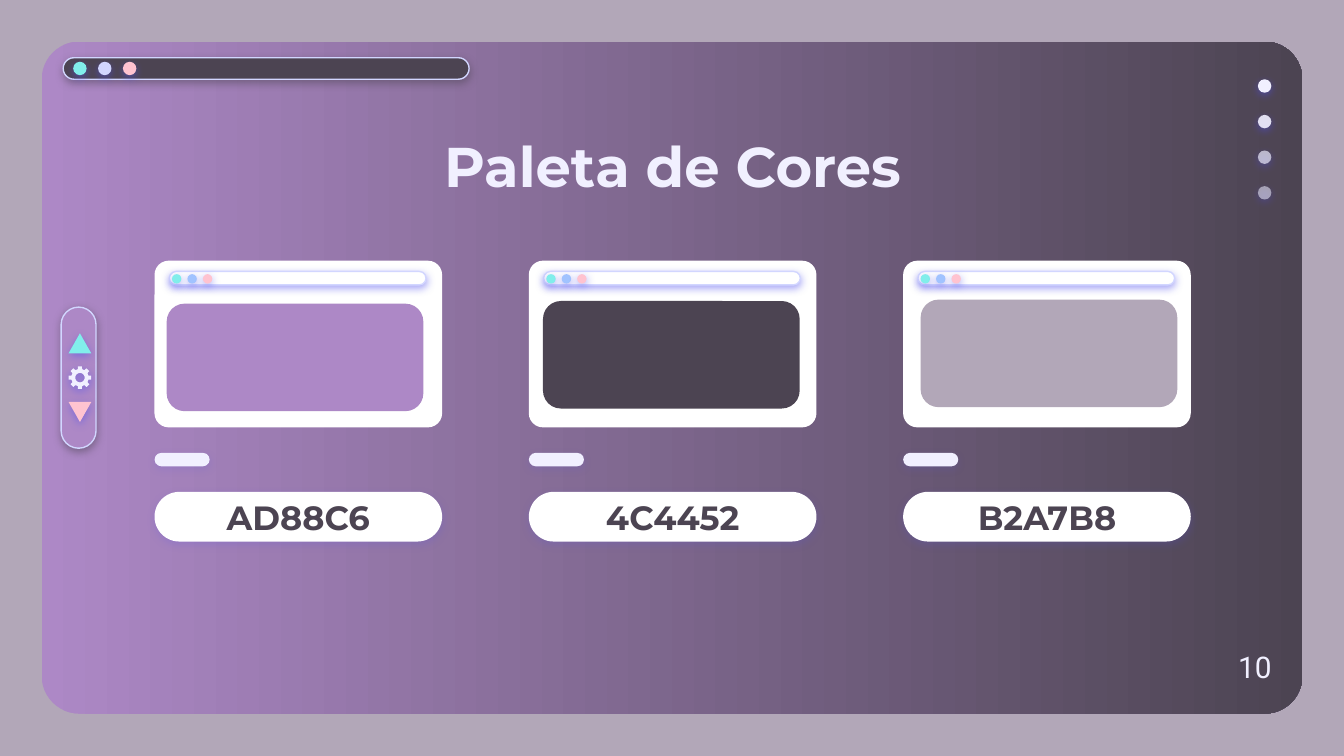
import math

import lxml.etree
import pptx
import pptx.dml.color
import pptx.enum.shapes
import pptx.enum.text
import pptx.oxml.ns
import pptx.util

PX = 4572  # EMU per px, 200 px to the inch
KIND = pptx.enum.shapes.MSO_SHAPE
ALIGN = pptx.enum.text.PP_ALIGN
ANCHOR = pptx.enum.text.MSO_ANCHOR
color = pptx.dml.color.RGBColor.from_string
qn = pptx.oxml.ns.qn

WHITE, PALE, LILAC = "FFFFFF", "F1F0FF", "D2D6FF"
PURPLE, DARK, GREY = "AD88C6", "4C4452", "B2A7B8"
TEAL, BLUE, PINK, GLOW = "81EEEB", "A1C3FF", "FFC3D0", "5352EE"

presentation = pptx.Presentation()
presentation.slide_width = 2000 * PX
presentation.slide_height = 1125 * PX
slide = presentation.slides.add_slide(presentation.slide_layouts[6])
slide.background.fill.solid()
slide.background.fill.fore_color.rgb = color(GREY)


def style(shape, fill, line=None, shadow=None, opacity=50):
    """Set fill and outline, and a soft shadow below when a colour is given."""
    shape.fill.solid()
    shape.fill.fore_color.rgb = color(fill)
    if line:
        shape.line.color.rgb = color(line)
        shape.line.width = pptx.util.Pt(0.75)
    else:
        shape.line.fill.background()
    shape.shadow.inherit = False
    if shadow:
        effects = shape._element.spPr.find(qn("a:effectLst"))
        outer = lxml.etree.SubElement(
            effects, qn("a:outerShdw"), blurRad="57150", dist="19050",
            dir="5400000", algn="bl", rotWithShape="0")
        tint = lxml.etree.SubElement(outer, qn("a:srgbClr"), val=shadow)
        lxml.etree.SubElement(tint, qn("a:alpha"), val=str(opacity * 1000))


def draw(kind, left, top, width, height, fill, rounding=None, **look):
    """Add a preset shape, placed in px."""
    shape = slide.shapes.add_shape(
        kind, left * PX, top * PX, width * PX, height * PX)
    if rounding is not None:
        shape.adjustments[0] = rounding
    style(shape, fill, **look)
    return shape


# Gradient panel
panel = draw(KIND.ROUNDED_RECTANGLE, 62, 62, 1876, 1000, PURPLE, 0.056)
panel.fill.gradient()
panel.fill.gradient_angle = 0
for stop, shade in zip(panel.fill.gradient_stops, (PURPLE, DARK)):
    stop.color.rgb = color(shade)

# Window bar at the top
draw(KIND.ROUNDED_RECTANGLE, 94, 86, 604, 32, DARK, 0.5,
     line=LILAC, shadow=DARK)
for index, shade in enumerate((TEAL, LILAC, PINK)):
    draw(KIND.OVAL, 109 + 37 * index, 92, 20, 20, shade, shadow=GLOW)

# Fading dots on the right
for index, alpha in enumerate((100, 90, 67, 54)):
    dot = draw(KIND.OVAL, 1872, 118 + 53 * index, 20, 20, PALE, shadow=GLOW)
    dot_color = dot._element.spPr.find(qn("a:solidFill"))[0]
    lxml.etree.SubElement(dot_color, qn("a:alpha"), val=str(alpha * 1000))

# Colour cards: window, swatch, tag and pill
labels = []
swatches = ((PURPLE, 248, 452), (DARK, 808, 448), (GREY, 1370, 446))
for index, (shade, swatch_left, swatch_top) in enumerate(swatches):
    left = 230 + 557 * index
    draw(KIND.ROUNDED_RECTANGLE, left, 388, 428, 248, WHITE, 0.085)
    draw(KIND.ROUNDED_RECTANGLE, left + 22, 404, 382, 20, WHITE, 0.5,
         line=LILAC, shadow=GLOW)
    for position, dot_shade in enumerate((TEAL, BLUE, PINK)):
        draw(KIND.OVAL, left + 26 + 23 * position, 408, 14, 14, dot_shade,
             shadow=GLOW)
    draw(KIND.ROUNDED_RECTANGLE, swatch_left, swatch_top, 382, 160, shade)
    draw(KIND.ROUNDED_RECTANGLE, left, 674, 82, 20, PALE, 0.5,
         shadow=GLOW, opacity=15)
    draw(KIND.ROUNDED_RECTANGLE, left, 732, 428, 74, WHITE, 0.5,
         shadow=GLOW, opacity=18)
    labels.append(((left + 39, 750, 350, 40), shade, 18, "Montserrat", DARK,
                   ALIGN.CENTER, ANCHOR.MIDDLE))

# Scroll control with arrows
draw(KIND.ROUNDED_RECTANGLE, 91, 457, 52, 210, PURPLE, 0.5,
     line=LILAC, shadow=DARK)
draw(KIND.ISOSCELES_TRIANGLE, 102, 496, 34, 30, TEAL, shadow=GLOW)
down_arrow = draw(KIND.ISOSCELES_TRIANGLE, 102, 598, 34, 30, PINK, shadow=GLOW)
down_arrow.rotation = 180

# Gear: eight teeth around a round hole
outline = []
for tooth in range(8):
    for offset, radius in ((-14, 13), (-10, 17), (10, 17), (14, 13)):
        outline.append((45 * tooth + offset, radius))
hole = [(angle, 7) for angle in range(360, 0, -15)]
contours = [
    [((119 + radius * math.cos(math.radians(angle))) * PX,
      (562 + radius * math.sin(math.radians(angle))) * PX)
     for angle, radius in ring]
    for ring in (outline, hole)]
builder = slide.shapes.build_freeform(*contours[0][0])
builder.add_line_segments(contours[0][1:], close=True)
builder.move_to(*contours[1][0])
builder.add_line_segments(contours[1][1:], close=True)
style(builder.convert_to_shape(), PALE, shadow=GLOW, opacity=52)

# Title, colour codes and page number
texts = [
    ((158, 176, 1686, 126), "Paleta de Cores", 30, "Montserrat", PALE,
     ALIGN.CENTER, ANCHOR.TOP),
    *labels,
    ((1804, 946, 108, 68), "10", 16, "Roboto", PALE, ALIGN.RIGHT, ANCHOR.TOP),
]
for box, text, size, font_name, shade, alignment, anchor in texts:
    text_box = slide.shapes.add_textbox(*(length * PX for length in box))
    frame = text_box.text_frame
    frame.word_wrap = True
    frame.vertical_anchor = anchor
    frame.margin_left = frame.margin_right = 20 * PX
    frame.margin_top = frame.margin_bottom = 20 * PX
    frame.text = text
    paragraph = frame.paragraphs[0]
    paragraph.alignment = alignment
    font = paragraph.runs[0].font
    font.size = pptx.util.Pt(size)
    font.name = font_name
    font.bold = font_name == "Montserrat"
    font.color.rgb = color(shade)

presentation.save("out.pptx")
